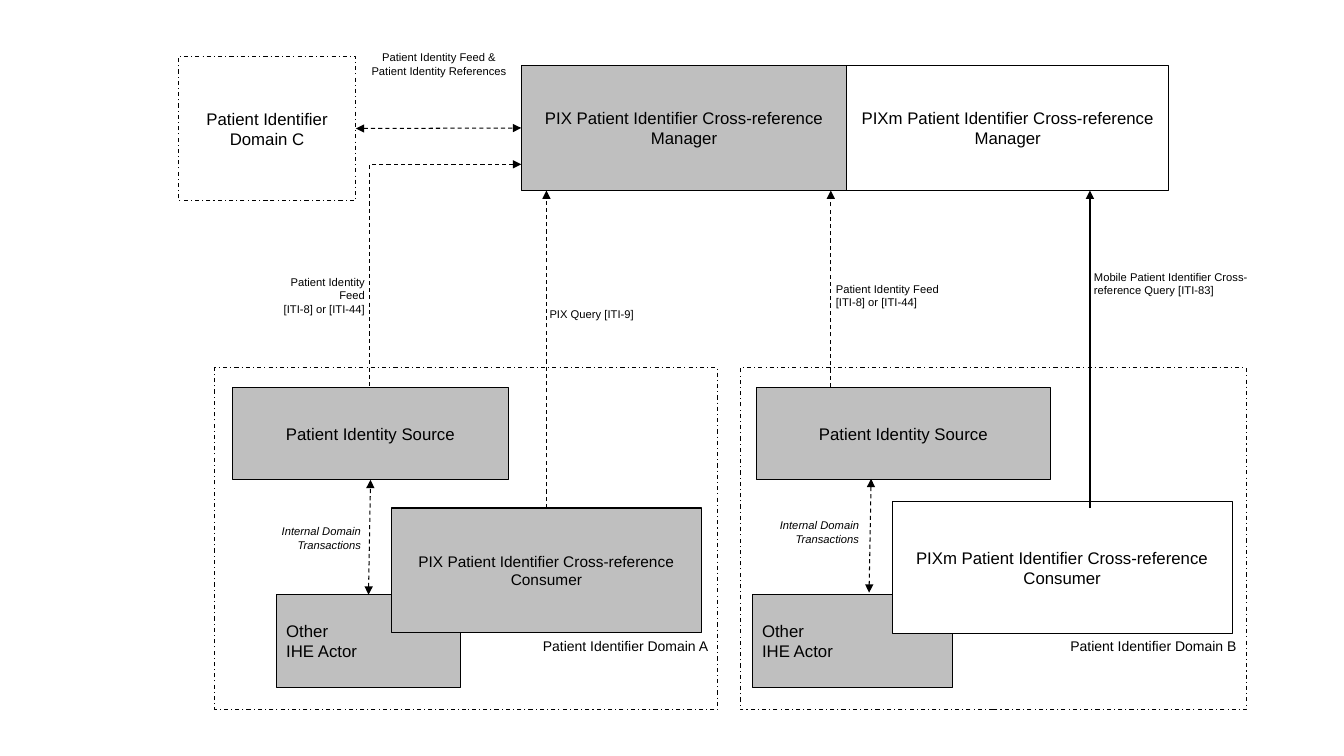
from lxml.etree import SubElement
from pptx import Presentation
from pptx.dml.color import RGBColor
from pptx.enum.dml import MSO_LINE
from pptx.enum.shapes import MSO_CONNECTOR, MSO_SHAPE
from pptx.enum.text import MSO_ANCHOR, PP_ALIGN
from pptx.oxml.ns import qn
from pptx.util import Inches, Pt

BLACK = RGBColor(0x00, 0x00, 0x00)
WHITE = RGBColor(0xFF, 0xFF, 0xFF)
GRAY = RGBColor(0xBF, 0xBF, 0xBF)
TOP, LEFT, BOTTOM, RIGHT = range(4)


def write_text(box, text, size=12, align=PP_ALIGN.CENTER, anchor=MSO_ANCHOR.MIDDLE,
               italic=False, inset=None):
    """Fill a shape with text: \\n starts a paragraph, \\v breaks a line."""
    frame = box.text_frame
    frame.word_wrap = True
    frame.vertical_anchor = anchor
    if inset is not None:
        frame.margin_left = frame.margin_right = Inches(inset)
        frame.margin_top = frame.margin_bottom = Inches(inset)
    frame.text = text
    for para in frame.paragraphs:
        para.alignment = align
        for span in para.runs:
            span.font.name = "Arial"
            span.font.size = Pt(size)
            span.font.italic = italic
            span.font.color.rgb = BLACK


def add_arrow(start, end, ends=("tailEnd",), width=0.75, dash=MSO_LINE.DASH,
              kind=MSO_CONNECTOR.STRAIGHT):
    arrow = page.shapes.add_connector(kind, *(Inches(value) for value in start + end))
    arrow.line.color.rgb = BLACK
    arrow.line.width = Pt(width)
    arrow.line.dash_style = dash
    line = arrow.line._get_or_add_ln()
    for name in ends:
        SubElement(line, qn(f"a:{name}"), type="triangle")
    SubElement(arrow._element.spPr, qn("a:effectLst"))
    return arrow


deck = Presentation()
deck.slide_width = Inches(13.33)
deck.slide_height = Inches(7.5)
page = deck.slides.add_slide(deck.slide_layouts[6])

# Domain frames and actors, from back to front
actors = [
    ("domain B", "", 7.34, 3.65, 5.02, 3.39, None),
    ("other B", "Other\vIHE Actor", 7.46, 5.9, 1.99, 0.92, GRAY),
    ("domain C", "Patient Identifier Domain C", 1.77, 0.56, 1.76, 1.43, None),
    ("PIX manager", "PIX Patient Identifier Cross-reference Manager",
     5.17, 0.65, 3.23, 1.24, GRAY),
    ("source B", "Patient Identity Source", 7.5, 3.84, 2.92, 0.92, GRAY),
    ("PIXm consumer", "PIXm Patient Identifier Cross-reference Consumer",
     8.85, 4.98, 3.37, 1.31, WHITE),
    ("domain A", "", 2.13, 3.65, 4.99, 3.39, None),
    ("other A", "Other\vIHE Actor", 2.74, 5.9, 1.83, 0.92, GRAY),
    ("source A", "Patient Identity Source", 2.31, 3.84, 2.73, 0.92, GRAY),
    ("PIX consumer", "PIX Patient Identifier Cross-reference Consumer",
     3.88, 5.04, 3.08, 1.24, GRAY),
    ("PIXm manager", "PIXm Patient Identifier Cross-reference Manager",
     8.4, 0.65, 3.19, 1.24, None),
]
boxes = {}
for name, text, left, top, width, height, fill in actors:
    box = page.shapes.add_shape(MSO_SHAPE.RECTANGLE, Inches(left), Inches(top),
                                Inches(width), Inches(height))
    box.shadow.inherit = False
    box.line.color.rgb = BLACK
    box.line.width = Pt(0.75)
    if name.startswith("domain"):
        box.line.dash_style = MSO_LINE.DASH_DOT
    if fill is None:
        box.fill.background()
    else:
        box.fill.solid()
        box.fill.fore_color.rgb = fill
    if text:
        write_text(box, text, size=11 if name == "PIX consumer" else 12,
                   align=PP_ALIGN.LEFT if name.startswith("other") else PP_ALIGN.CENTER)
    boxes[name] = box

# Transactions between actors
both_ends = ("headEnd", "tailEnd")
domain_c_feed = add_arrow((3.53, 1.27), (5.17, 1.28), ends=both_ends)
domain_c_feed.begin_connect(boxes["domain C"], RIGHT)
domain_c_feed.end_connect(boxes["PIX manager"], LEFT)

internal_a = add_arrow((3.65, 5.9), (3.67, 4.77), ends=both_ends)
internal_a.begin_connect(boxes["other A"], TOP)
internal_a.end_connect(boxes["source A"], BOTTOM)

pix_query = add_arrow((5.42, 5.04), (5.42, 1.89))
pix_query.begin_connect(boxes["PIX consumer"], TOP)

add_arrow((8.62, 5.88), (8.64, 4.75), ends=both_ends)
add_arrow((8.24, 3.84), (8.24, 1.89))
add_arrow((10.81, 5.04), (10.81, 1.89), width=2, dash=MSO_LINE.SOLID)

# A single-bend elbow, drawn from the manager back to the source
feed_a = add_arrow((5.17, 1.63), (3.67, 3.84), ends=("headEnd",), kind=MSO_CONNECTOR.ELBOW)
feed_a._element.spPr.find(qn("a:prstGeom")).set("prst", "bentConnector2")

# Labels
feed = "Patient Identity Feed\n[ITI-8] or [ITI-44]"
internal = "Internal Domain Transactions"
transaction = dict(size=8, inset=0.05)
left_aligned = dict(transaction, align=PP_ALIGN.LEFT)
right_aligned = dict(transaction, align=PP_ALIGN.RIGHT)
internal_style = dict(size=8, align=PP_ALIGN.RIGHT, italic=True)
domain_style = dict(size=10, align=PP_ALIGN.RIGHT, anchor=MSO_ANCHOR.TOP)
labels = [
    ("Mobile Patient Identifier Cross-reference Query [ITI-83]",
     10.8, 1.98, 1.7, 1.67, left_aligned),
    ("PIX Query [ITI-9]", 5.4, 2.59, 1.02, 1.06, left_aligned),
    (feed, 8.24, 2.21, 1.23, 1.44, left_aligned),
    (feed, 2.62, 2.21, 1.05, 1.44, right_aligned),
    ("Patient Identity Feed &\vPatient Identity References",
     3.53, 0, 1.65, 1.27, transaction),
    (internal, 7, 4.75, 1.62, 1.06, internal_style),
    (internal, 2.06, 4.81, 1.62, 1.06, internal_style),
    ("Patient Identifier Domain B", 9.81, 6.28, 2.55, 0.76, domain_style),
    ("Patient Identifier Domain A", 4.57, 6.28, 2.55, 0.76, domain_style),
]
for text, left, top, width, height, style in labels:
    label = page.shapes.add_textbox(Inches(left), Inches(top), Inches(width), Inches(height))
    write_text(label, text, **style)

deck.save("out.pptx")
